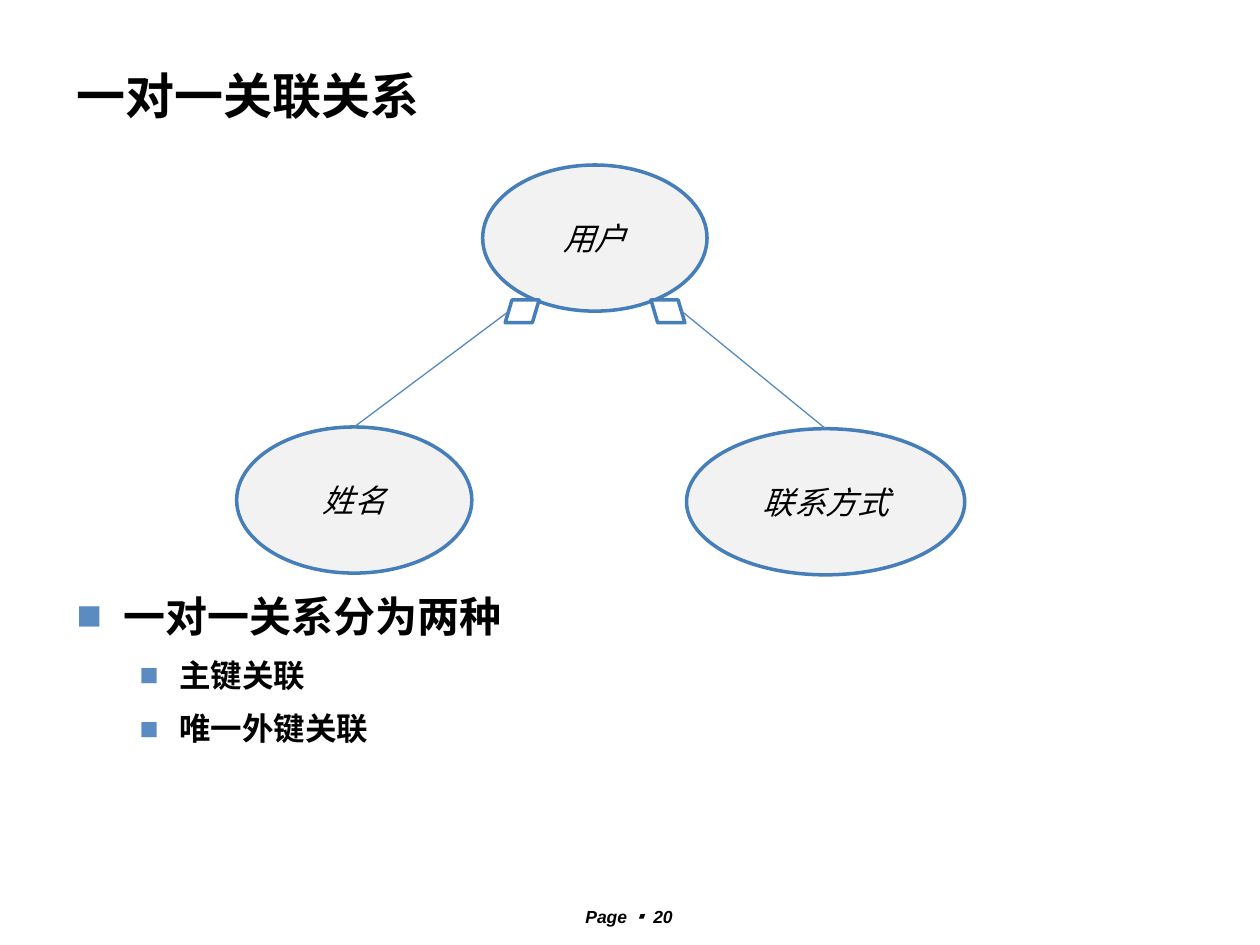
import pptx
import pptx.dml.color
import pptx.enum.shapes
import pptx.enum.text
import pptx.oxml
import pptx.oxml.ns
import pptx.util

Pt = pptx.util.Pt
SHAPE = pptx.enum.shapes.MSO_SHAPE
ANCHOR = pptx.enum.text.MSO_ANCHOR
ALIGN = pptx.enum.text.PP_ALIGN
LATIN = "Arial"
ASIAN = "Noto Sans CJK JP"
COLORS = {
    "text": "000000",
    "bullet": "5B8CC1",
    "node": "F2F2F2",
    "port": "FFFFFF",
    "outline": "467EB9",
    "link": "5689BF",
}


def color(name):
    return pptx.dml.color.RGBColor.from_string(COLORS[name])


def add_element(parent, tag, **attributes):
    element = pptx.oxml.parse_xml(f"<{tag} {pptx.oxml.ns.nsdecls('a')}/>")
    for key, value in attributes.items():
        element.set(key, str(value))
    parent.append(element)
    return element


def add_text(para, text, size=18, bold=False, italic=False, font=LATIN):
    span = para.add_run()
    span.text = text
    span.font.size = Pt(size)
    span.font.bold = bold
    span.font.italic = italic
    span.font.name = font
    span.font.color.rgb = color("text")
    add_element(span.font._element, "a:ea", typeface=ASIAN)


def add_box(page, left, top, width, height, anchor=ANCHOR.TOP):
    box = page.shapes.add_textbox(Pt(left), Pt(top), Pt(width), Pt(height))
    box.text_frame.word_wrap = True
    box.text_frame.vertical_anchor = anchor
    return box.text_frame


def add_outlined(page, kind, left, top, width, height, fill):
    shape = page.shapes.add_shape(kind, Pt(left), Pt(top), Pt(width), Pt(height))
    shape.shadow.inherit = False
    shape.fill.solid()
    shape.fill.fore_color.rgb = color(fill)
    shape.line.color.rgb = color("outline")
    shape.line.width = Pt(2)
    return shape


def add_node(page, text, left, top, width):
    node = add_outlined(page, SHAPE.OVAL, left, top, width, 83.5, "node")
    node.text_frame.vertical_anchor = ANCHOR.MIDDLE
    para = node.text_frame.paragraphs[0]
    para.alignment = ALIGN.CENTER
    add_text(para, text, italic=True)


def add_port(page, left, flipped=False):
    port = add_outlined(page, SHAPE.FLOWCHART_DATA, left, 171.4, 19.4, 13, "port")
    if flipped:
        port._element.spPr.xfrm.set("flipV", "1")


def add_link(page, start, end):
    link = page.shapes.add_connector(
        pptx.enum.shapes.MSO_CONNECTOR.STRAIGHT, *map(Pt, start + end))
    link.line.color.rgb = color("link")
    link.line.width = Pt(0.75)
    add_element(link._element.spPr, "a:effectLst")


def add_bullet(para, text, level=0):
    size, before, margin, hanging = ((24, 6, 27, 27), (18, 4.5, 58.5, 22.5))[level]
    para.level = level
    para.line_spacing = 1.2
    para.space_before = Pt(before)
    properties = para._p.get_or_add_pPr()
    properties.set("marL", str(Pt(margin)))
    properties.set("indent", str(-Pt(hanging)))
    bullet_color = add_element(properties, "a:buClr")
    add_element(bullet_color, "a:srgbClr", val=COLORS["bullet"])
    add_element(properties, "a:buFont", typeface=LATIN)
    add_element(properties, "a:buChar", char="■")
    add_text(para, text, size=size, bold=True)


def add_list(page, items):
    frame = add_box(page, 36.7, 328, 646.6, 168)
    for index, (text, level) in enumerate(items):
        para = frame.add_paragraph() if index else frame.paragraphs[0]
        add_bullet(para, text, level)


def add_footer(page):
    para = add_box(page, 303, 514, 113, 16).paragraphs[0]
    para.alignment = ALIGN.CENTER
    for text, font in (("Page ", LATIN), ("▪ ", ASIAN), ("20", LATIN)):
        add_text(para, text, size=10, bold=True, italic=True, font=font)


def main():
    deck = pptx.Presentation()
    deck.slide_width, deck.slide_height = Pt(720), Pt(540)
    page = deck.slides.add_slide(deck.slide_layouts[6])

    add_footer(page)
    title = add_box(page, 36.7, 31.7, 646.6, 45.4, ANCHOR.MIDDLE)
    add_text(title.paragraphs[0], "一对一关联关系", size=28, bold=True)
    add_list(page, [("一对一关系分为两种", 0), ("主键关联", 1), ("唯一外键关联", 1)])

    add_node(page, "用户", 275.8, 94.3, 128.2)
    add_node(page, "姓名", 135.2, 244, 134.4)
    add_node(page, "联系方式", 392.3, 245, 159)
    add_port(page, 288.7)
    add_link(page, (290.9, 177.8), (202.4, 244))
    add_port(page, 372, flipped=True)
    add_link(page, (389.5, 177.8), (471.8, 245))

    deck.save("out.pptx")


if __name__ == "__main__":
    main()
